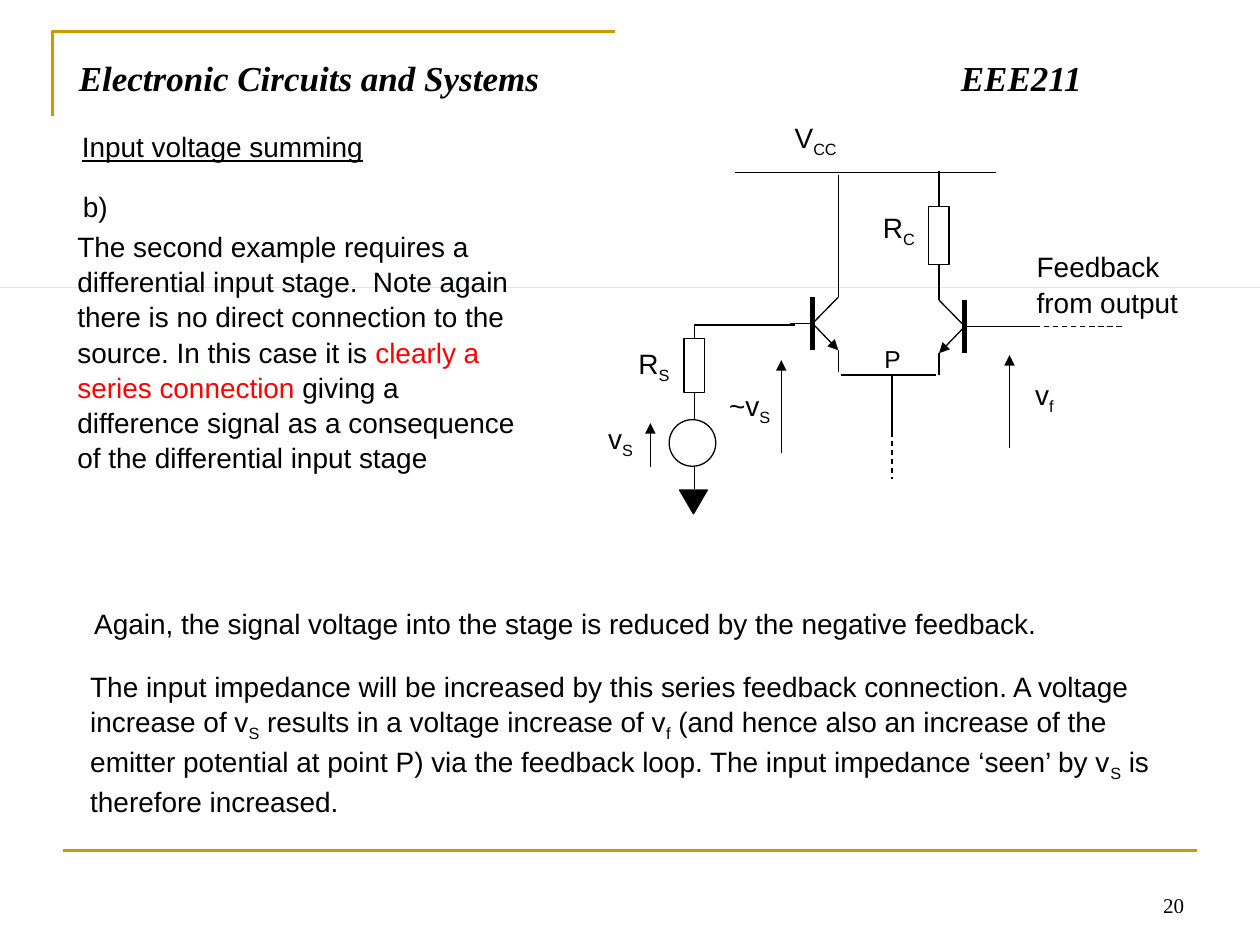
from dataclasses import dataclass

from lxml.etree import SubElement
from pptx import Presentation
from pptx.dml.color import RGBColor
from pptx.enum.dml import MSO_LINE
from pptx.enum.shapes import MSO_CONNECTOR, MSO_SHAPE
from pptx.enum.text import MSO_ANCHOR, PP_ALIGN
from pptx.oxml.ns import qn
from pptx.util import Cm, Pt


@dataclass(frozen=True)
class Theme:
    black: RGBColor = RGBColor(0, 0, 0)
    white: RGBColor = RGBColor(255, 255, 255)
    red: RGBColor = RGBColor(255, 0, 0)
    gold: RGBColor = RGBColor(0xCC, 0x99, 0)
    blue: RGBColor = RGBColor(0, 0x33, 0xCC)
    sans: str = "Arial"
    serif: str = "Times New Roman"
    title: int = 20
    body: int = 16
    point: int = 14
    number: int = 12
    wire: float = 0.75
    rule: float = 1.5
    bar: float = 3


THEME = Theme()


def add_text(page, left, top, width, height, *parts, size=THEME.body, font=THEME.sans):
    """Add a text box; each part is plain text or (text, "sub" | "red")."""
    box = page.shapes.add_textbox(Cm(left), Cm(top), Cm(width), Cm(height))
    box.text_frame.word_wrap = True
    para = box.text_frame.paragraphs[0]
    para.line_spacing = 1.05 if font == THEME.sans else 1.0
    for part in parts:
        words, kind = (part, "") if isinstance(part, str) else part
        span = para.add_run()
        span.text = words
        span.font.name = font
        span.font.size = Pt(size)
        span.font.color.rgb = THEME.red if kind == "red" else THEME.black
        if kind == "sub":
            span._r.get_or_add_rPr().set("baseline", "-25000")
    return box


def add_line(page, x1, y1, x2, y2, color=THEME.black, weight=THEME.wire,
             arrow=False, dashed=False):
    line = page.shapes.add_connector(
        MSO_CONNECTOR.STRAIGHT, Cm(x1), Cm(y1), Cm(x2), Cm(y2))
    line.line.color.rgb = color
    line.line.width = Pt(weight)
    if dashed:
        line.line.dash_style = MSO_LINE.DASH
    if arrow:
        SubElement(line.line._get_or_add_ln(), qn("a:tailEnd"), type="triangle")
    SubElement(line._element.spPr, qn("a:effectLst"))
    return line


def add_part(page, kind, left, top, width, height, fill=THEME.white, outlined=True):
    shape = page.shapes.add_shape(kind, Cm(left), Cm(top), Cm(width), Cm(height))
    shape.shadow.inherit = False
    shape.fill.solid()
    shape.fill.fore_color.rgb = fill
    if outlined:
        shape.line.color.rgb = THEME.black
        shape.line.width = Pt(THEME.wire)
    else:
        shape.line.fill.background()
    return shape


def add_transistor(page, x, top, side):
    """Draw a transistor with its base bar at x; side is +1 or -1 towards the collector."""
    bottom, middle, lead = top + 1.07, top + 0.53, 0.43
    end = x + side * 0.52
    add_line(page, x, middle, end, bottom, arrow=True)
    add_line(page, x, top, x, bottom, weight=THEME.bar)
    add_line(page, x, middle, end, top)
    add_line(page, end, top, end, top - lead)
    add_line(page, end, bottom + lead, end, bottom)
    add_line(page, x, middle, x - side * 0.46, middle)


def add_frame(page):
    # Corner rule, bottom rule and hairline across the page
    builder = page.shapes.build_freeform(Cm(1.06), Cm(2.33), scale=1.0)
    builder.add_line_segments(
        [(Cm(1.06), Cm(0.63)), (Cm(12.4), Cm(0.63))], close=False)
    corner = builder.convert_to_shape()
    corner.shadow.inherit = False
    corner.fill.background()
    corner.line.color.rgb = THEME.gold
    corner.line.width = Pt(THEME.rule)
    add_line(page, 1.27, 17.14, 24.13, 17.14, THEME.gold, THEME.rule)
    add_part(page, MSO_SHAPE.RECTANGLE, 0, 5.79, 25.4, 0, THEME.blue, outlined=False)

    # Title, with the course code at a tab stop
    title = add_text(page, 1.34, 1.02, 22.66, 1.55,
                     "Electronic Circuits and Systems\tEEE211",
                     size=THEME.title, font=THEME.serif)
    para = title.text_frame.paragraphs[0]
    tabs = SubElement(para._p.get_or_add_pPr(), qn("a:tabLst"))
    SubElement(tabs, qn("a:tab"), pos=str(Cm(17.78)), algn="l")
    for span in para.runs:
        span.font.bold = span.font.italic = True

    # Page number
    number = add_text(page, 18.2, 17.36, 5.92, 1.27, "20",
                      size=THEME.number, font=THEME.serif)
    number.text_frame.vertical_anchor = MSO_ANCHOR.BOTTOM
    number.text_frame.paragraphs[0].alignment = PP_ALIGN.RIGHT


def add_explanation(page):
    heading = add_text(page, 1.4, 2.46, 9.75, 0.94, "Input voltage summing")
    heading.text_frame.paragraphs[0].runs[0].font.underline = True
    add_text(page, 1.42, 3.66, 1.65, 0.94, "b)")
    add_text(page, 1.31, 4.47, 9.58, 5.05,
             "The second example requires a differential input stage.  Note again "
             "there is no direct connection to the source. In this case it is ",
             ("clearly a series connection", "red"),
             " giving a difference signal as a consequence of the differential "
             "input stage")
    add_text(page, 1.65, 12.06, 21.92, 0.94,
             "Again, the signal voltage into the stage is reduced by the "
             "negative feedback.")
    add_text(page, 1.57, 13.33, 22.58, 2.97,
             "The input impedance will be increased by this series feedback "
             "connection. A voltage increase of v", ("S", "sub"),
             " results in a voltage increase of v", ("f", "sub"),
             " (and hence also an increase of the emitter potential at point P) "
             "via the feedback loop. The input impedance ‘seen’ by v", ("S", "sub"),
             " is therefore increased.")


def add_circuit(page):
    # Supply rail, collector wires and shared emitter
    add_line(page, 20.07, 3.48, 14.81, 3.48)
    add_line(page, 16.9, 5.72, 16.9, 3.53)
    add_line(page, 18.93, 5.64, 18.93, 3.45)
    add_line(page, 18.87, 7.56, 16.95, 7.56)
    add_line(page, 17.98, 7.58, 17.98, 8.76)
    add_line(page, 17.98, 8.53, 17.98, 9.65, dashed=True)

    # Differential pair
    add_transistor(page, 16.38, 5.99, 1)
    add_transistor(page, 19.45, 6.05, -1)

    # Input and feedback wires
    add_line(page, 16.03, 6.55, 14, 6.55)
    add_line(page, 14, 6.58, 14, 9.86)
    add_line(page, 20.88, 6.58, 19.58, 6.58)
    add_line(page, 22.61, 6.58, 19.84, 6.58, dashed=True)

    # Resistors, source and ground
    add_part(page, MSO_SHAPE.RECTANGLE, 18.72, 4.17, 0.41, 1.17)
    add_part(page, MSO_SHAPE.RECTANGLE, 13.79, 6.83, 0.41, 1.09)
    add_part(page, MSO_SHAPE.OVAL, 13.49, 8.46, 0.94, 0.94)
    ground = add_part(page, MSO_SHAPE.ISOSCELES_TRIANGLE, 13.7, 9.88, 0.56, 0.48,
                      THEME.black)
    ground._element.spPr.xfrm.set("flipV", "1")

    # Voltage arrows
    for x, tail, head in ((13.11, 9.42, 8.53), (15.75, 9.14, 7.26),
                          (20.35, 9.04, 7.16)):
        add_line(page, x, tail, x, head, arrow=True)

    # Labels
    for left, top, width, name, index in (
            (17.55, 4.09, 1.5, "R", "C"), (15.77, 2.26, 2.51, "V", "CC"),
            (14.45, 7.67, 1.4, "~v", "S"), (12.62, 6.83, 1.19, "R", "S"),
            (12.01, 8.33, 1.19, "v", "S"), (20.62, 7.44, 0.99, "v", "f")):
        add_text(page, left, top, width, 0.94, name, (index, "sub"))
    add_text(page, 17.58, 6.78, 1.5, 0.84, "P", size=THEME.point)
    add_text(page, 20.65, 4.88, 3.45, 1.63, "Feedback from output")


def main():
    deck = Presentation()
    deck.slide_width, deck.slide_height = Cm(25.4), Cm(19.05)
    page = deck.slides.add_slide(deck.slide_layouts[6])
    add_frame(page)
    add_explanation(page)
    add_circuit(page)
    deck.save("out.pptx")


if __name__ == "__main__":
    main()
